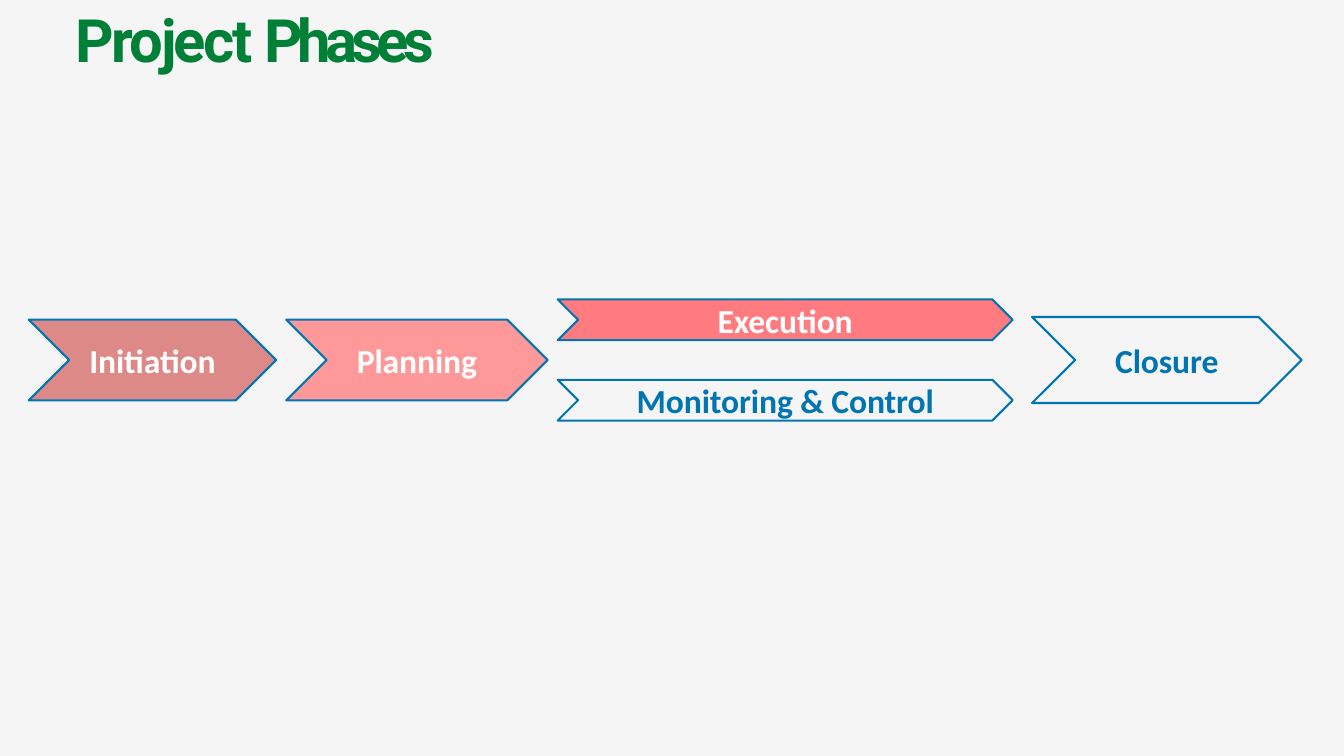
from pptx import Presentation
from pptx.dml.color import RGBColor
from pptx.enum import shapes, text
from pptx.util import Cm, Pt

BACKGROUND = RGBColor(0xF5, 0xF5, 0xF5)
GREEN = RGBColor(0x00, 0x80, 0x37)
BLUE = RGBColor(0x00, 0x75, 0xB1)
WHITE = RGBColor(0xFF, 0xFF, 0xFF)
DUSTY_RED = RGBColor(0xDD, 0x89, 0x87)
PINK = RGBColor(0xFF, 0x99, 0x99)
CORAL = RGBColor(0xFF, 0x7B, 0x80)

MIDDLE = 13.61  # height of the flow's centre line, in cm
LANE = 1.52  # offset of the two parallel phases from it

# label, left, width, height, offset from the centre line, fill
PHASES = [
    ("Initiation", 1.09, 9.35, 3.05, 0, DUSTY_RED),
    ("Planning", 10.82, 9.88, 3.05, 0, PINK),
    ("Execution", 21.08, 17.2, 1.54, -LANE, CORAL),
    ("Monitoring & Control", 21.08, 17.2, 1.54, LANE, None),
    ("Closure", 39.01, 10.19, 3.25, 0, None),
]


def add_run(p, words, font, size, color, spacing):
    """Add a bold run; spacing is the extra space between letters in points."""
    r = p.add_run()
    r.text = words
    r.font.name = font
    r.font.size = Pt(size)
    r.font.bold = True
    r.font.color.rgb = color
    r._r.get_or_add_rPr().set("spc", str(round(spacing * 100)))


def set_margins(tf, left=0, top=0):
    tf.margin_left, tf.margin_top = Cm(left), Cm(top)
    tf.margin_right = tf.margin_bottom = 0


def add_title(s):
    tf = s.shapes.add_textbox(Cm(2.82), 0, Cm(15.82), Cm(2.79)).text_frame
    tf.word_wrap = True
    set_margins(tf, left=0.05, top=0.1)
    p = tf.paragraphs[0]
    add_run(p, "Project ", "Roboto", 64, GREEN, -2.8)
    add_run(p, "Phases", "Roboto", 64, GREEN, -6)


def add_phase(s, label, left, width, height, offset, fill):
    """Draw a chevron, outlined only when fill is None."""
    top = MIDDLE + offset - height / 2
    sp = s.shapes.add_shape(shapes.MSO_SHAPE.CHEVRON,
                            Cm(left), Cm(top), Cm(width), Cm(height))
    sp.shadow.inherit = False
    sp.line.color.rgb = BLUE
    sp.line.width = Pt(2.25)
    if fill is None:
        sp.fill.background()
    else:
        sp.fill.solid()
        sp.fill.fore_color.rgb = fill

    tf = sp.text_frame
    tf.word_wrap = False
    tf.vertical_anchor = text.MSO_ANCHOR.MIDDLE
    set_margins(tf)
    p = tf.paragraphs[0]
    p.alignment = text.PP_ALIGN.CENTER
    add_run(p, label, "Calibri", 36, WHITE if fill else BLUE, -0.1)


def main():
    prs = Presentation()
    prs.slide_width, prs.slide_height = Cm(50.8), Cm(28.58)
    s = prs.slides.add_slide(prs.slide_layouts[6])
    s.background.fill.solid()
    s.background.fill.fore_color.rgb = BACKGROUND
    add_title(s)
    for phase in PHASES:
        add_phase(s, *phase)
    prs.save("out.pptx")


if __name__ == "__main__":
    main()
